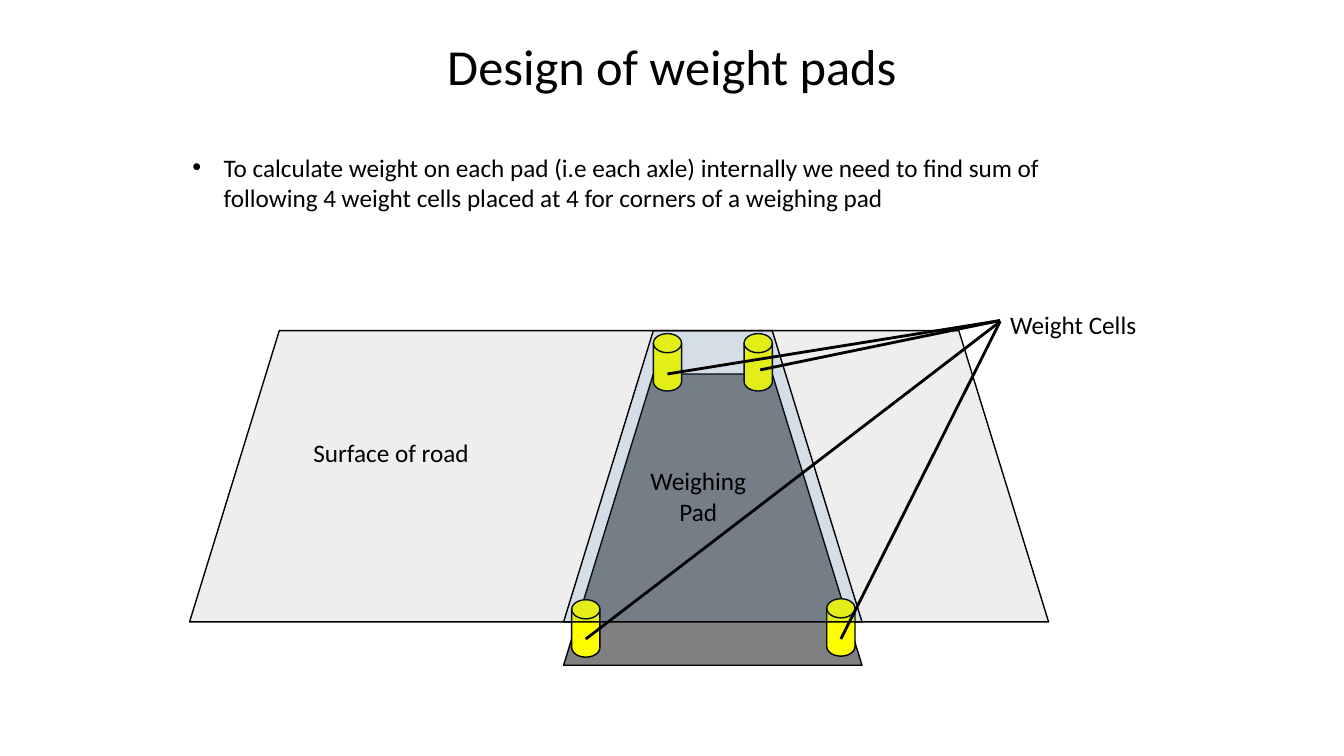
from lxml import etree
from pptx import Presentation
from pptx.dml.color import RGBColor
from pptx.enum.shapes import MSO_CONNECTOR, MSO_SHAPE
from pptx.enum.text import MSO_AUTO_SIZE, PP_ALIGN
from pptx.oxml.ns import qn
from pptx.util import Inches, Pt

TRAPEZOID = MSO_SHAPE.TRAPEZOID
CYLINDER = MSO_SHAPE.FLOWCHART_MAGNETIC_DISK
STRAIGHT = MSO_CONNECTOR.STRAIGHT
LEFT, CENTER = PP_ALIGN.LEFT, PP_ALIGN.CENTER
FIT_SHAPE = MSO_AUTO_SIZE.SHAPE_TO_FIT_TEXT

FONT = "Calibri"
BLACK, GRAY, BLUE, YELLOW = "000000", "808080", "2E75B6", "FFFF00"
SLANT = 0.308
SLAB_HEIGHT = 2.89
ROAD_TOP = 3.28
PAD_LEFT, PAD_TOP, PAD_WIDTH = 5.59, 3.71, 2.96
CELL_WIDTH, CELL_HEIGHT = 0.28, 0.57
CELLS = [(6.48, 3.31), (7.38, 3.31), (5.67, 5.95), (8.2, 5.94)]
LEADERS = [
    (6.62, 3.71, 3.18),
    (7.54, 3.67, 3.18),
    (5.81, 6.34, 3.19),
    (8.34, 6.34, 3.19),
]
LABEL_LEFT = 9.92


def paint(color_format, color):
    color_format.rgb = RGBColor.from_string(color)


def add_box(s, kind, x, y, w, h, color, opacity=None):
    sp = s.shapes.add_shape(kind, Inches(x), Inches(y), Inches(w), Inches(h))
    sp.shadow.inherit = False
    sp.fill.solid()
    paint(sp.fill.fore_color, color)
    paint(sp.line.color, BLACK)
    sp.line.width = Pt(1)
    if opacity is not None:
        clr = sp._element.spPr.find(qn("a:solidFill"))[0]
        etree.SubElement(clr, qn("a:alpha"), val=str(opacity * 1000))
    return sp


def add_slab(s, x, y, w, color, opacity=None):
    sp = add_box(s, TRAPEZOID, x, y, w, SLAB_HEIGHT, color, opacity)
    sp.adjustments[0] = SLANT


def add_leader(s, x, y, label_y):
    line = s.shapes.add_connector(
        STRAIGHT, Inches(x), Inches(y), Inches(LABEL_LEFT), Inches(label_y)
    )
    paint(line.line.color, BLACK)
    line.line.width = Pt(2)
    etree.SubElement(line._element.spPr, qn("a:effectLst"))


def add_text(s, text, x, y, w, h, size=18, align=LEFT, wrap=True):
    sp = s.shapes.add_textbox(Inches(x), Inches(y), Inches(w), Inches(h))
    tf = sp.text_frame
    tf.word_wrap = wrap
    tf.auto_size = FIT_SHAPE
    tf.text = text
    p = tf.paragraphs[0]
    p.alignment = align
    r = p.runs[0]
    r.font.name = FONT
    r.font.size = Pt(size)
    paint(r.font.color, BLACK)
    return p


def add_bullet(p):
    pPr = p._p.get_or_add_pPr()
    indent = Inches(0.31)
    pPr.set("marL", str(indent))
    pPr.set("indent", str(-indent))
    etree.SubElement(pPr, qn("a:buFont"), typeface="Arial")
    etree.SubElement(pPr, qn("a:buChar"), char="•")


def main():
    prs = Presentation()
    prs.slide_width, prs.slide_height = Inches(13.33), Inches(7.5)
    s = prs.slides.add_slide(prs.slide_layouts[6])

    add_text(s, "Design of weight pads", 0, 0.3, 13.33, 0.71, 36, CENTER)

    add_slab(s, 1.88, ROAD_TOP, 8.52, GRAY, 13)
    add_slab(s, PAD_LEFT, PAD_TOP, PAD_WIDTH, GRAY)
    for x, y in CELLS:
        add_box(s, CYLINDER, x, y, CELL_WIDTH, CELL_HEIGHT, YELLOW)
    add_slab(s, PAD_LEFT, ROAD_TOP, PAD_WIDTH, BLUE, 13)

    add_text(s, "Surface of road", 3.01, 4.29, 1.76, 0.4, wrap=False)
    add_text(s, "Weighing Pad", 6.32, 4.57, 1.21, 0.71, align=CENTER)
    for leader in LEADERS:
        add_leader(s, *leader)
    add_text(s, "Weight Cells", LABEL_LEFT, 3.02, 1.47, 0.4, wrap=False)

    p = add_text(
        s,
        "To calculate weight on each pad (i.e each axle) internally we need to "
        "find sum of following 4 weight cells placed at 4 for corners of a "
        "weighing pad",
        1.81, 1.46, 9.11, 0.71,
    )
    add_bullet(p)

    prs.save("out.pptx")


main()
